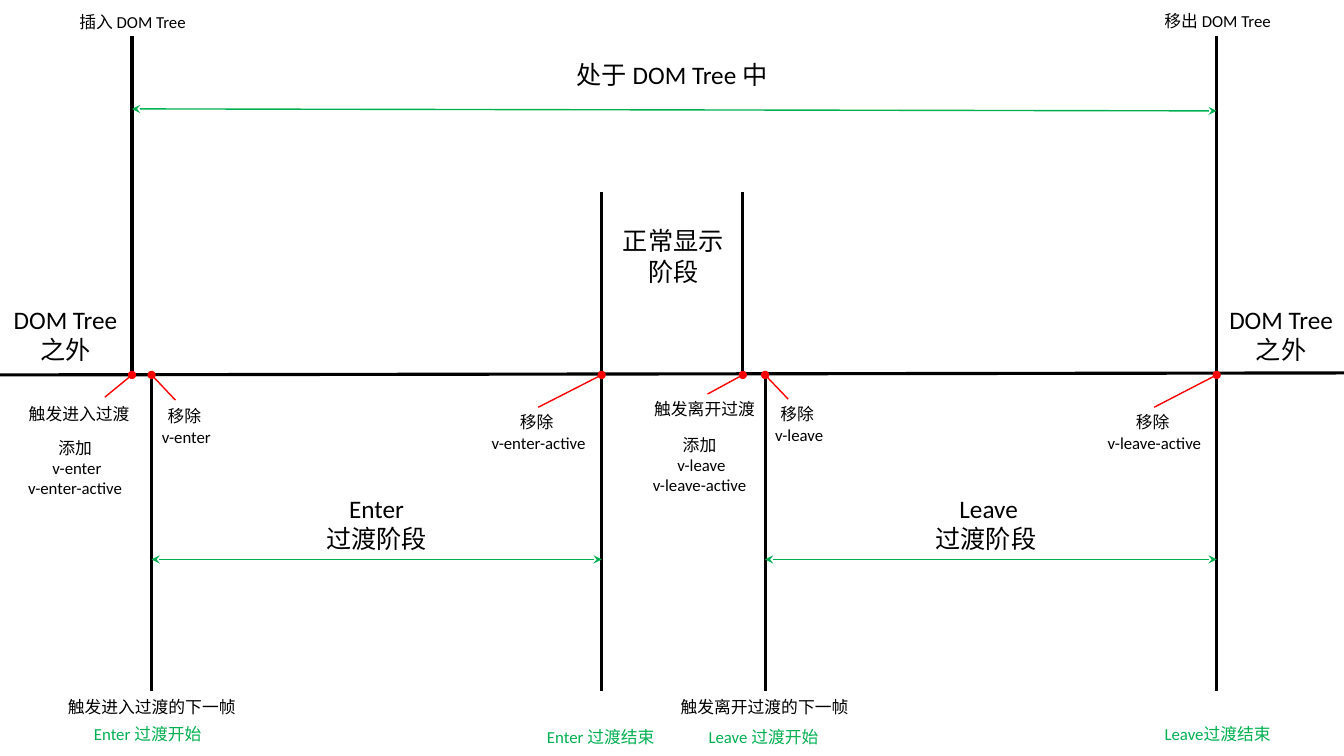
from dataclasses import dataclass

from lxml import etree
from pptx import Presentation
from pptx.dml.color import RGBColor
from pptx.enum.shapes import MSO_CONNECTOR
from pptx.enum.text import MSO_ANCHOR, MSO_AUTO_SIZE, PP_ALIGN
from pptx.oxml.ns import qn
from pptx.util import Pt

STRAIGHT = MSO_CONNECTOR.STRAIGHT
TOP = MSO_ANCHOR.TOP
NO_FIT = MSO_AUTO_SIZE.NONE
CENTER = PP_ALIGN.CENTER


@dataclass(frozen=True)
class Theme:
    """Colours, font, type sizes and line widths."""
    ink: str = "000000"
    green: str = "00B050"
    red: str = "FF0000"
    font: str = "Calibri"
    big: float = 18
    small: float = 12
    thick: float = 2.25
    thin: float = 1


@dataclass(frozen=True)
class Line:
    """A straight line with optional ends, in points."""
    x1: float
    y1: float
    x2: float
    y2: float
    color: str
    width: float
    head: str = ""
    tail: str = ""


@dataclass(frozen=True)
class Label:
    """Centred text around a middle x, in points."""
    mid: float
    top: float
    width: float
    text: str
    size: float
    color: str


THEME = Theme()
FRAME = {"word_wrap": True, "auto_size": NO_FIT, "vertical_anchor": TOP,
         "margin_left": Pt(7.2), "margin_right": Pt(7.2),
         "margin_top": Pt(3.6), "margin_bottom": Pt(3.6)}

# Moments on the time axis
WIDE, TALL = 960, 540
AXIS, ROOF, BASE, SHELF, SPAN = 267.8, 25.9, 493.9, 137.5, 399.6
ENTER, NEXT_IN, DONE_IN = 94.3, 108.3, 429.8
LEAVE, NEXT_OUT, DONE_OUT = 530.6, 546.5, 869.1


def set_all(item: object, values: dict) -> None:
    """Set each attribute named in a dict."""
    for name, value in values.items():
        setattr(item, name, value)


def draw_line(slide, line: Line) -> None:
    """Draw a line without shadow, with its ends."""
    bar = slide.shapes.add_connector(
        STRAIGHT, Pt(line.x1), Pt(line.y1), Pt(line.x2), Pt(line.y2))
    bar.line.color.rgb = RGBColor.from_string(line.color)
    bar.line.width = Pt(line.width)
    stroke = bar.line._get_or_add_ln()
    for tag, kind in (("a:headEnd", line.head), ("a:tailEnd", line.tail)):
        if kind:
            etree.SubElement(stroke, qn(tag), type=kind)
    etree.SubElement(bar._element.spPr, qn("a:effectLst"))


def fill_label(shape, label: Label) -> None:
    """Place a text shape and write its lines."""
    rows = label.text.split("\n")
    set_all(shape, {"left": Pt(label.mid - label.width / 2),
                    "top": Pt(label.top), "width": Pt(label.width),
                    "height": Pt(7.2 + 1.2 * label.size * len(rows))})
    frame = shape.text_frame
    set_all(frame, FRAME)
    frame.text = label.text
    for para in frame.paragraphs:
        para.alignment = CENTER
        font = para.runs[0].font
        set_all(font, {"name": THEME.font, "size": Pt(label.size)})
        font.color.rgb = RGBColor.from_string(label.color)


def draw_label(slide, label: Label) -> None:
    """Add a text box for a label."""
    fill_label(slide.shapes.add_textbox(0, 0, 0, 0), label)


def rule(x1: float, y1: float, x2: float, y2: float) -> Line:
    """Make a thick black line."""
    return Line(x1, y1, x2, y2, THEME.ink, THEME.thick)


def span(x1: float, y1: float, x2: float, y2: float) -> Line:
    """Make a green arrow with two heads."""
    return Line(x1, y1, x2, y2, THEME.green, THEME.thin, "stealth", "stealth")


def hint(x: float, y: float, spot: float) -> Line:
    """Make a red line that ends in a dot on the axis."""
    return Line(x, y, spot, AXIS, THEME.red, THEME.thin, tail="oval")


def big(mid: float, top: float, width: float, text: str) -> Label:
    """Make a stage label."""
    return Label(mid, top, width, text, THEME.big, THEME.ink)


def note(mid: float, top: float, width: float, text: str) -> Label:
    """Make a small black label."""
    return Label(mid, top, width, text, THEME.small, THEME.ink)


def mark(mid: float, top: float, width: float, text: str) -> Label:
    """Make a small green label."""
    return Label(mid, top, width, text, THEME.small, THEME.green)


HEADING = big(480, 38.9, 322.6, "处于 DOM Tree 中")
LINES = [
    rule(0, AXIS, WIDE, 266.4),
    *(rule(x, ROOF, x, AXIS) for x in (ENTER, DONE_OUT)),
    *(rule(x, SHELF, x, AXIS) for x in (DONE_IN, LEAVE)),
    *(rule(x, AXIS, x, BASE) for x in (NEXT_IN, DONE_IN, NEXT_OUT, DONE_OUT)),
    span(ENTER, 77.8, DONE_OUT, 79.2),
    span(NEXT_IN, SPAN, DONE_IN, SPAN),
    span(NEXT_OUT, SPAN, DONE_OUT, SPAN),
    hint(74.9, 283.7, ENTER),
    hint(125.3, 285.8, NEXT_IN),
    hint(384.5, 290.9, DONE_IN),
    hint(505.4, 281.5, LEAVE),
    hint(563, 285.1, NEXT_OUT),
    hint(824.4, 290.9, DONE_OUT),
]
LABELS = [
    *(big(x, 213.8, 90.7, "DOM Tree\n之外") for x in (46.8, 915.1)),
    big(481, 157.7, 89.3, "正常显示\n阶段"),
    big(269, 348.5, 110.9, "Enter\n过渡阶段"),
    big(704.2, 348.5, 110.9, " Leave\n过渡阶段"),
    note(94.7, 5, 91.4, "插入 DOM Tree"),
    note(869.8, 4.3, 112.3, "移出 DOM Tree"),
    note(56.5, 285.1, 87.1, "触发进入过渡"),
    note(503.3, 281.5, 90.7, "触发离开过渡"),
    note(53.6, 308.9, 87.1, "添加\n v-enter\nv-enter-active"),
    note(499.7, 306.7, 90.7, "添加\n v-leave\nv-leave-active"),
    note(131.8, 286.6, 56.2, "移除\n v-enter"),
    note(569.5, 285.1, 56.2, "移除\n v-leave"),
    note(383.4, 290.9, 91.4, "移除\n v-enter-active"),
    note(823.3, 290.9, 91.4, "移除\n v-leave-active"),
    note(108.4, BASE, 147.6, "触发进入过渡的下一帧"),
    note(546.1, BASE, 147.6, "触发离开过渡的下一帧"),
    mark(105.5, 513.4, 147.6, "Enter 过渡开始"),
    mark(429.1, 515.5, 95, "Enter 过渡结束"),
    mark(545.4, 515.5, 147.6, "Leave 过渡开始"),
    mark(869.8, 513.4, 97.9, "Leave过渡结束"),
]


def main() -> None:
    """Build the slide and save it."""
    deck = Presentation()
    set_all(deck, {"slide_width": Pt(WIDE), "slide_height": Pt(TALL)})
    slide = deck.slides.add_slide(deck.slide_layouts.get_by_name("Title Only"))
    fill_label(slide.shapes.title, HEADING)
    for line in LINES:
        draw_line(slide, line)
    for label in LABELS:
        draw_label(slide, label)
    deck.save("out.pptx")


main()
